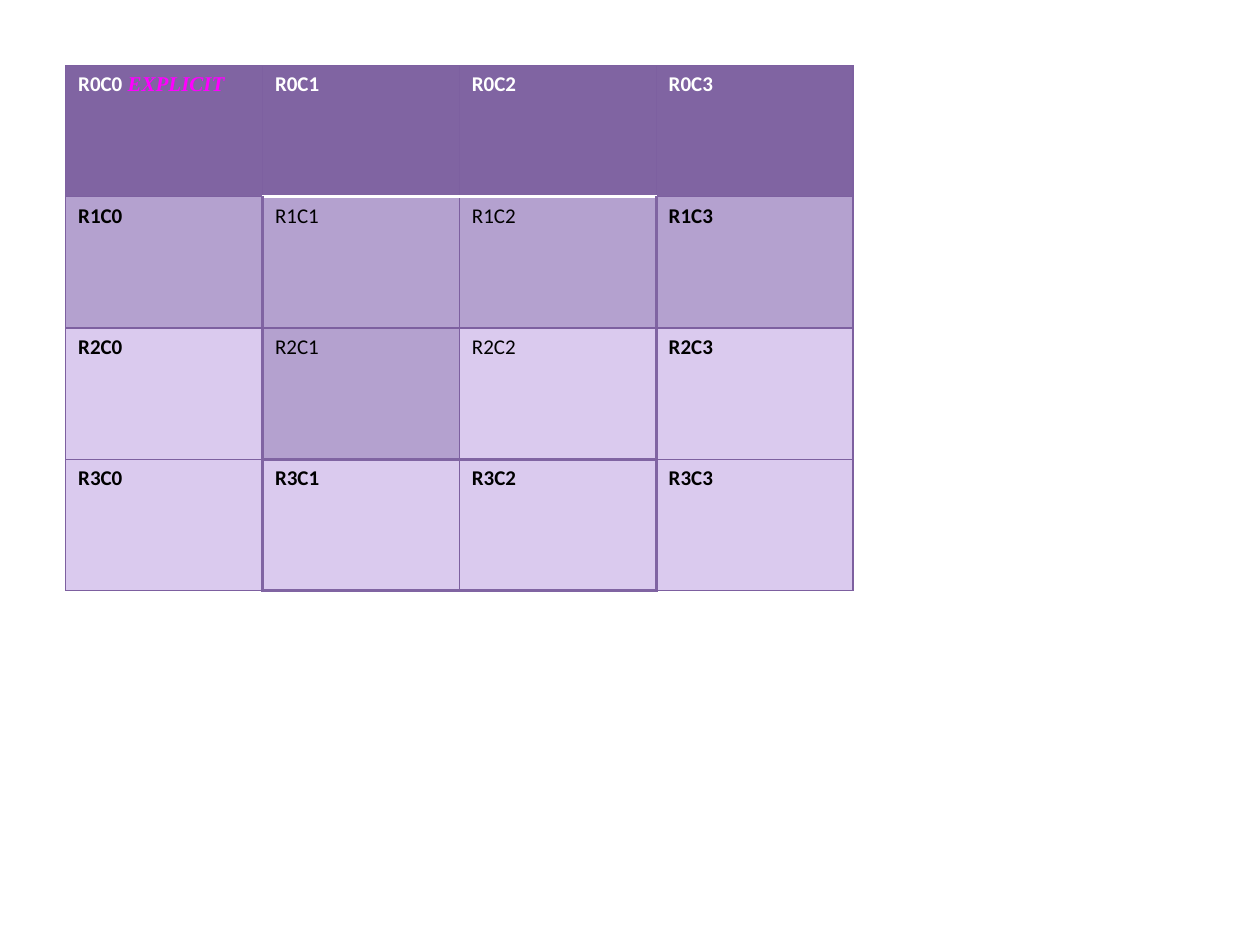
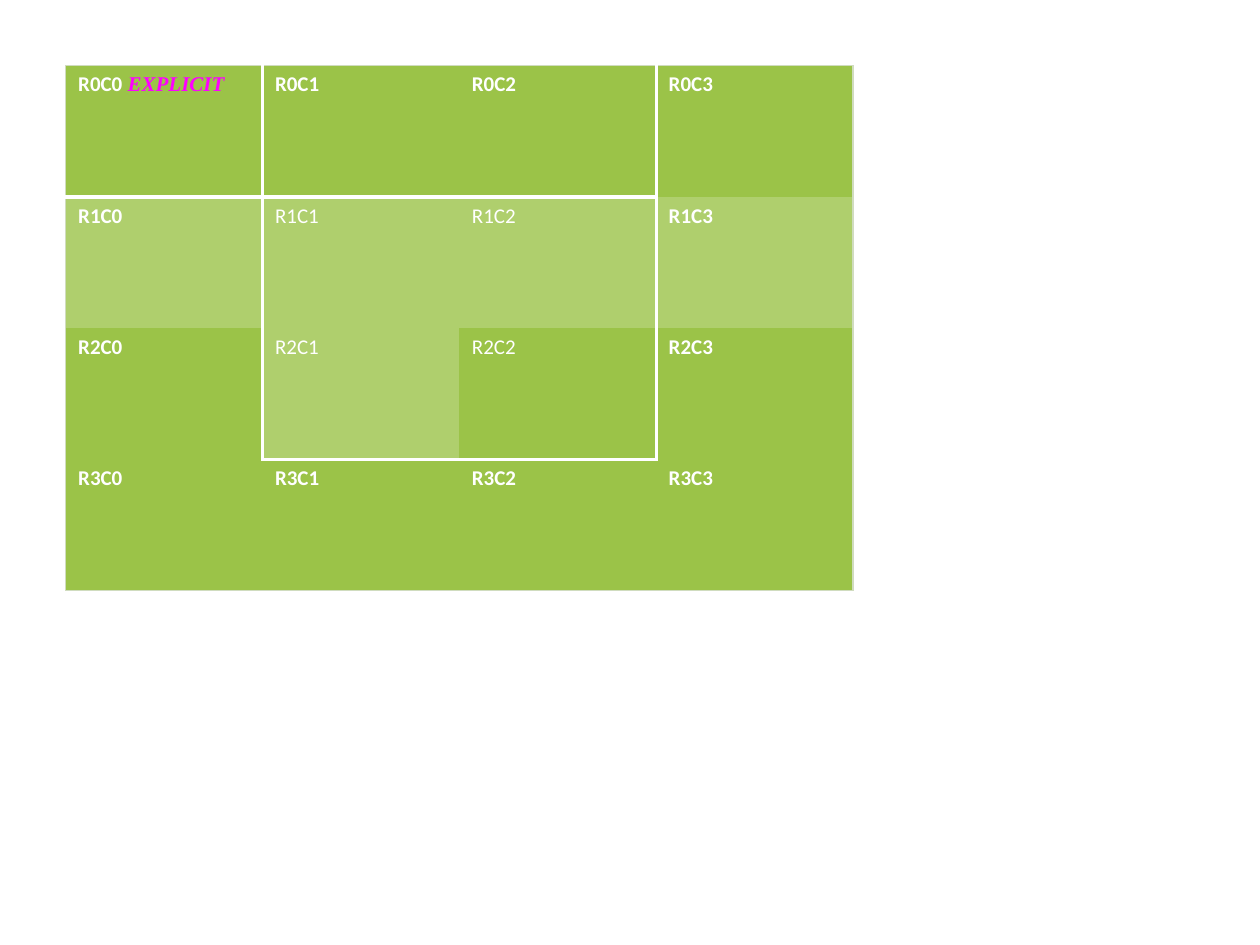
from dataclasses import dataclass, field

from lxml import etree
from pptx import Presentation
from pptx.dml.color import RGBColor
from pptx.oxml.ns import qn
from pptx.util import Pt

WHITE = RGBColor(0xFF, 0xFF, 0xFF)
BLACK = RGBColor(0x00, 0x00, 0x00)
MAGENTA = RGBColor(0xFF, 0x00, 0xFF)
PURPLE = RGBColor(0x80, 0x64, 0xA2)
PURPLE_LINE = RGBColor(0x7D, 0x60, 0xA0)
PURPLE_BAND = RGBColor(0xB4, 0xA1, 0xCF)
LILAC = RGBColor(0xDA, 0xCA, 0xEE)
GREEN = RGBColor(0x9B, 0xC3, 0x48)
GREEN_BAND = RGBColor(0xAF, 0xCF, 0x6D)
GREEN_LINE = RGBColor(0xD0, 0xDC, 0xBF)

SIZE = 4
INNER = (1, 2)  # rows and columns of the regular cells
BOX = (37.5, 37.5, 450, 300)


@dataclass
class Theme:
    header: RGBColor
    band: RGBColor
    body: RGBColor
    text: RGBColor
    outline: tuple  # (colour, width)
    inside: tuple = None
    rows: dict = field(default_factory=dict)  # (line, column) -> stroke
    cols: dict = field(default_factory=dict)  # (line, row) -> stroke

    def stroke(self, special, line, position):
        default = self.outline if line in (0, SIZE) else self.inside
        return special.get((line, position), default)


def span(lines, positions, stroke):
    return {(line, pos): stroke for line in lines for pos in positions}


PURPLE_EDGE = (PURPLE, 2)
WHITE_EDGE = (WHITE, 2)
PURPLE_THEME = Theme(
    PURPLE, PURPLE_BAND, LILAC, BLACK, (PURPLE_LINE, 0.75), (PURPLE_LINE, 0.75),
    rows=span([1], INNER, WHITE_EDGE) | span([3, 4], INNER, PURPLE_EDGE),
    cols=span([1, 3], range(1, SIZE), PURPLE_EDGE))
GREEN_THEME = Theme(
    GREEN, GREEN_BAND, GREEN, WHITE, (GREEN_LINE, 0.75),
    rows=span([1], range(3), (WHITE, 3)) | span([3], INNER, WHITE_EDGE),
    cols=span([1, 3], range(3), WHITE_EDGE))


def add_run(p, text, color, bold, font="Calibri", italic=False):
    r = p.add_run()
    r.text = text
    r.font.name, r.font.size = font, Pt(12)
    r.font.bold, r.font.italic = bold, italic
    r.font.color.rgb = color


def set_borders(cell, strokes):
    """Apply strokes in the order left, right, top, bottom."""
    tc_pr = cell._tc.get_or_add_tcPr()
    for i, (side, stroke) in enumerate(zip("LRTB", strokes)):
        ln = etree.Element(qn(f"a:ln{side}"))
        if stroke:
            color, width = stroke
            ln.set("w", str(Pt(width)))
            fill = etree.SubElement(ln, qn("a:solidFill"))
            etree.SubElement(fill, qn("a:srgbClr"), val=str(color))
        else:
            etree.SubElement(ln, qn("a:noFill"))
        tc_pr.insert(i, ln)


def fill_cell(cell, row, col, theme):
    is_header = row == 0
    is_band = row == 1 or (row, col) == (2, 1)
    cell.fill.solid()
    cell.fill.fore_color.rgb = (theme.header if is_header else
                                theme.band if is_band else theme.body)
    set_borders(cell, [theme.stroke(theme.cols, col, row),
                       theme.stroke(theme.cols, col + 1, row),
                       theme.stroke(theme.rows, row, col),
                       theme.stroke(theme.rows, row + 1, col)])
    p = cell.text_frame.paragraphs[0]
    add_run(p, f"R{row}C{col}", WHITE if is_header else theme.text,
            bold=not (row in INNER and col in INNER))
    if row == col == 0:
        add_run(p, " EXPLICIT", MAGENTA, True, "Times New Roman", italic=True)


def add_styled_table(s, box, theme):
    left, top, width, height = box
    table = s.shapes.add_table(SIZE, SIZE, Pt(left), Pt(top),
                               Pt(width), Pt(height)).table
    table.first_row = table.horz_banding = False
    for i in range(SIZE):
        table.columns[i].width = Pt(width / SIZE)
        table.rows[i].height = Pt(height / SIZE)
        for j in range(SIZE):
            fill_cell(table.cell(i, j), i, j, theme)


def main():
    prs = Presentation()
    prs.slide_width, prs.slide_height = Pt(720), Pt(540)
    for theme in (PURPLE_THEME, GREEN_THEME):
        s = prs.slides.add_slide(prs.slide_layouts[6])
        add_styled_table(s, BOX, theme)
    prs.save("out.pptx")


if __name__ == "__main__":
    main()
